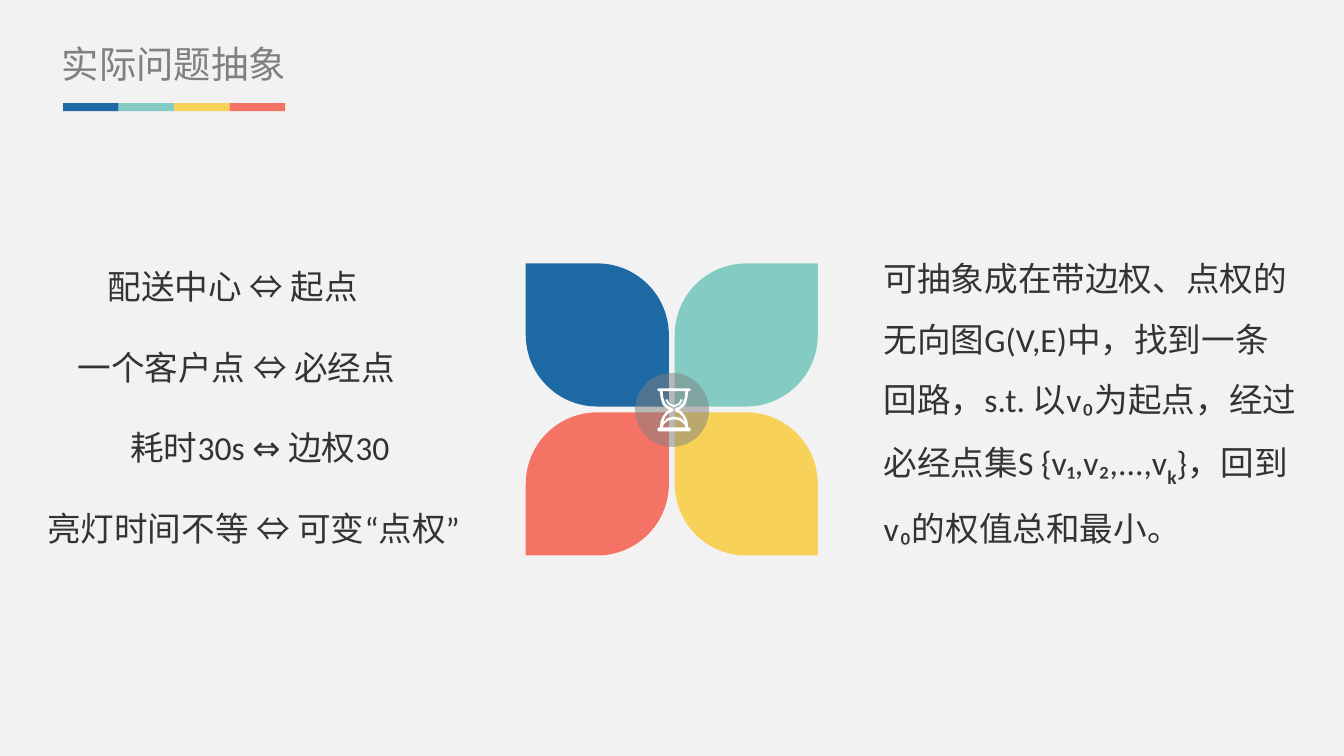
from pptx import Presentation
from pptx import util as u
from pptx.dml.color import RGBColor
from pptx.enum import shapes, text
from pptx.oxml import parse_xml
from pptx.oxml.ns import nsdecls, qn

CELL = u.Inches(0.1)  # the page is a grid of 100 columns by 56.25 rows
BLUE, TEAL, YELLOW, RED = "1D69A3", "84CBC3", "F8D158", "F57365"
GREY, INK, WHITE, PAPER = "808080", "333333", "FFFFFF", "F2F2F2"


def color(value):
    return RGBColor.from_string(value)


def cells(*counts):
    return [round(count * CELL) for count in counts]


def mirror(half):
    """Close a half profile, given as (offset from axis, row), on its other side."""
    return half + [(-x, y) for x, y in reversed(half)]


def add_span(para, words, size=18, font="Calibri", asian="Calibri", ink=INK,
             bold=False, offset=0):
    """Add a run; offset is the baseline shift in percent."""
    span = para.add_run()
    span.text = words
    span.font.size = u.Pt(size)
    span.font.name = font
    span.font.bold = bold
    span.font.color.rgb = color(ink)
    props = span.font._element
    if asian:
        props.find(qn("a:latin")).addnext(
            parse_xml(f'<a:ea {nsdecls("a")} typeface="{asian}"/>'))
    if offset:
        props.set("baseline", str(offset * 1000))


class Page:
    def __init__(self, deck):
        self.slide = deck.slides.add_slide(deck.slide_layouts[5])
        self.slide.background.fill.solid()
        self.slide.background.fill.fore_color.rgb = color(PAPER)

    def prepare(self, box, anchor):
        frame = box.text_frame
        frame.margin_left = frame.margin_right = 0
        frame.margin_top = frame.margin_bottom = 0
        frame.word_wrap = True
        frame.vertical_anchor = anchor
        frame.auto_size = text.MSO_AUTO_SIZE.NONE
        return frame

    def title(self, words, *place):
        box = self.slide.shapes.title
        box.left, box.top, box.width, box.height = cells(*place)
        para = self.prepare(box, text.MSO_ANCHOR.MIDDLE).paragraphs[0]
        para.alignment = text.PP_ALIGN.LEFT
        cjk = "Noto Sans CJK SC"
        add_span(para, words, size=20, font=cjk, asian=cjk, ink=GREY)

    def paragraphs(self, items, *place, spacing, before=0):
        """Fill a text box with (indent in columns, [(words, format), ...]) items."""
        box = self.slide.shapes.add_textbox(*cells(*place))
        frame = self.prepare(box, text.MSO_ANCHOR.TOP)
        for index, (indent, spans) in enumerate(items):
            para = frame.add_paragraph() if index else frame.paragraphs[0]
            para.line_spacing = spacing
            para.space_before = u.Pt(before)
            para._p.get_or_add_pPr().set("marL", str(round(indent * CELL)))
            for words, style in spans:
                add_span(para, words, **style)

    def paint(self, shape, fill, alpha=100):
        shape.shadow.inherit = False
        shape.fill.solid()
        shape.fill.fore_color.rgb = color(fill)
        shape.line.fill.background()
        if alpha < 100:
            tint = shape._element.spPr.find(qn("a:solidFill"))[0]
            tint.append(parse_xml(f'<a:alpha {nsdecls("a")} val="{alpha * 1000}"/>'))

    def shape(self, kind, fill, *place, alpha=100, corners=()):
        shape = self.slide.shapes.add_shape(kind, *cells(*place))
        for index, corner in enumerate(corners):
            shape.adjustments[index] = corner
        self.paint(shape, fill, alpha)

    def symmetric(self, halves, axis, fill):
        """Draw mirrored contours as one outline; inner contours cut holes."""
        builder = None
        for half in halves:
            points = [cells(axis + x, y) for x, y in mirror(half)]
            if builder is None:
                builder = self.slide.shapes.build_freeform(*points[0])
            else:
                builder.move_to(*points[0])
            builder.add_line_segments(points[1:], close=True)
        self.paint(builder.convert_to_shape(), fill)


def draw_flower(page):
    left, top, size, pitch = 39.12, 19.6, 10.65, 11.08
    for index, fill in enumerate((BLUE, TEAL, RED, YELLOW)):
        row, column = divmod(index, 2)
        corners = (0, 0.5) if row == column else (0.5, 0)
        page.shape(shapes.MSO_SHAPE.ROUND_2_DIAG_RECTANGLE, fill,
                   left + column * pitch, top + row * pitch, size, size,
                   corners=corners)
    page.shape(shapes.MSO_SHAPE.OVAL, GREY, 47.25, 27.75, 5.5, 5.5, alpha=50)


def draw_hourglass(page):
    frame = [(1.15, 28.9), (1.25, 29), (1.15, 29.1), (1.05, 29.1), (1, 29.6),
             (0.85, 30.1), (0.6, 30.35), (0.35, 30.5), (0.6, 30.65),
             (0.85, 31), (1, 31.35), (1.05, 31.8), (1.15, 31.8),
             (1.25, 31.95), (1.15, 32.1)]
    glass = [(0.85, 29.1), (0.8, 29.6), (0.65, 30), (0.4, 30.25), (0.1, 30.4),
             (0.05, 30.5), (0.1, 30.6), (0.4, 30.75), (0.65, 31),
             (0.8, 31.4), (0.5, 31.1), (0, 31)]
    mound = [(0, 31.2), (0.45, 31.3), (0.75, 31.55), (0.85, 31.8)]
    sand = [(0, 30.15), (0.35, 30), (0.5, 29.7), (0.65, 29.75),
            (0.45, 30.1), (0, 30.3)]
    page.symmetric([frame, glass, mound, sand], 50.15, WHITE)


def main():
    deck = Presentation()
    deck.slide_width, deck.slide_height = cells(100, 56.25)
    page = Page(deck)

    page.title("实际问题抽象", 4.6, 3, 21.8, 3.4)
    for index, fill in enumerate((BLUE, TEAL, YELLOW, RED)):
        page.shape(shapes.MSO_SHAPE.RECTANGLE, fill,
                   4.7 + index * 4.13, 7.67, 4.13, 0.6)

    draw_flower(page)
    draw_hourglass(page)

    mappings = [(4.5, [("配送中心 ⇔ 起点", {})]),
                (2.27, [("一个客户点 ⇔ 必经点", {})]),
                (6.2, [("耗时30s ⇔ 边权30", {})]),
                (0, [("亮灯时间不等 ⇔ 可变“点权”", {"asian": None})])]
    page.paragraphs(mappings, 3.5, 16.8, 34.1, 23.3, spacing=2)

    model = [("可抽象成在带边权、点权的无向图G(V,E)中，找到一条回路，s.t. 以v₀为起点，"
              "经过必经点集S {v₁,v₂,...,v", {}),
             ("k", {"bold": True, "offset": -25}),
             ("}，回到v₀的权值总和最小。", {})]
    page.paragraphs([(0, model)], 65.75, 17.7, 30.7, 25, spacing=1.5, before=3)

    deck.save("out.pptx")


if __name__ == "__main__":
    main()
